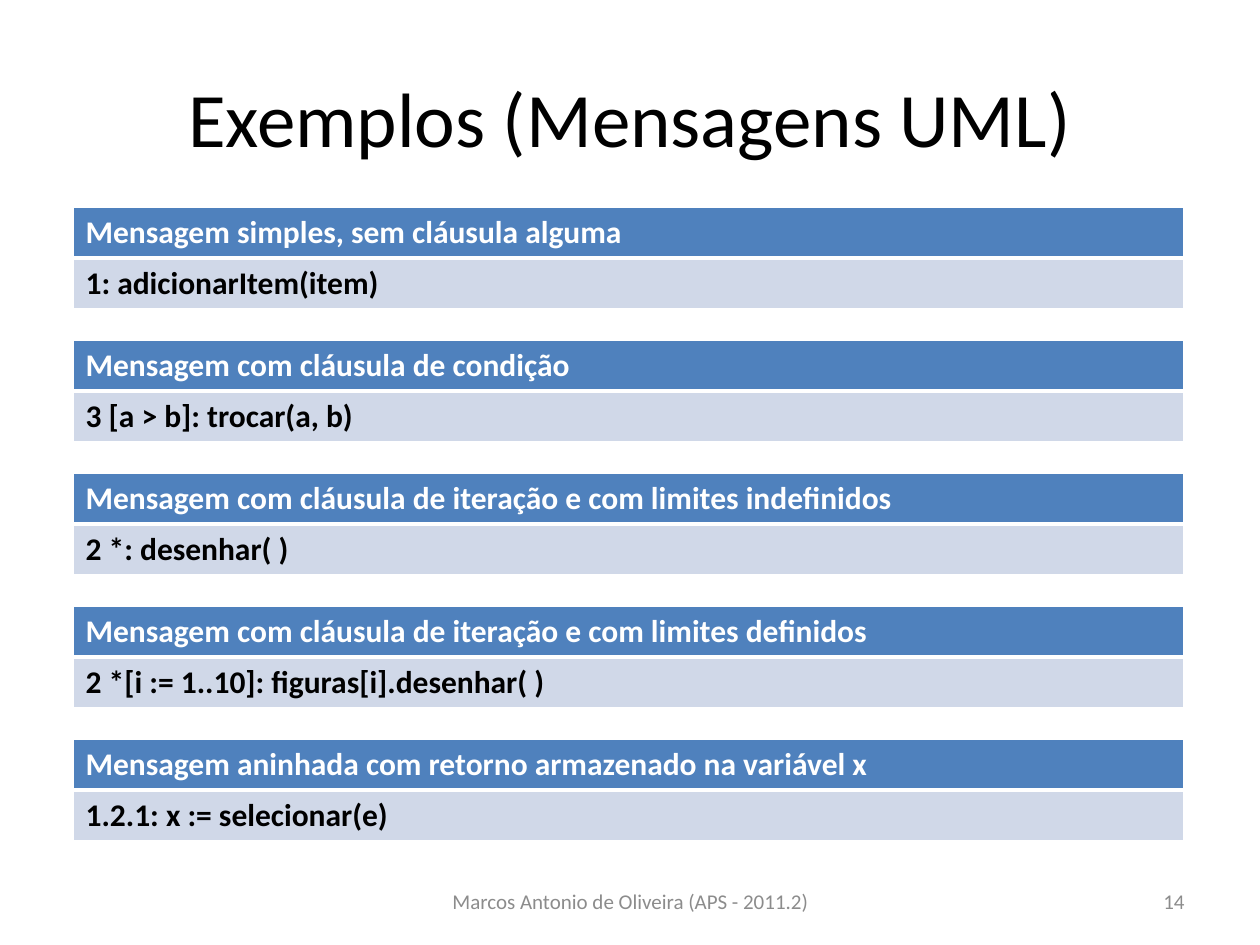
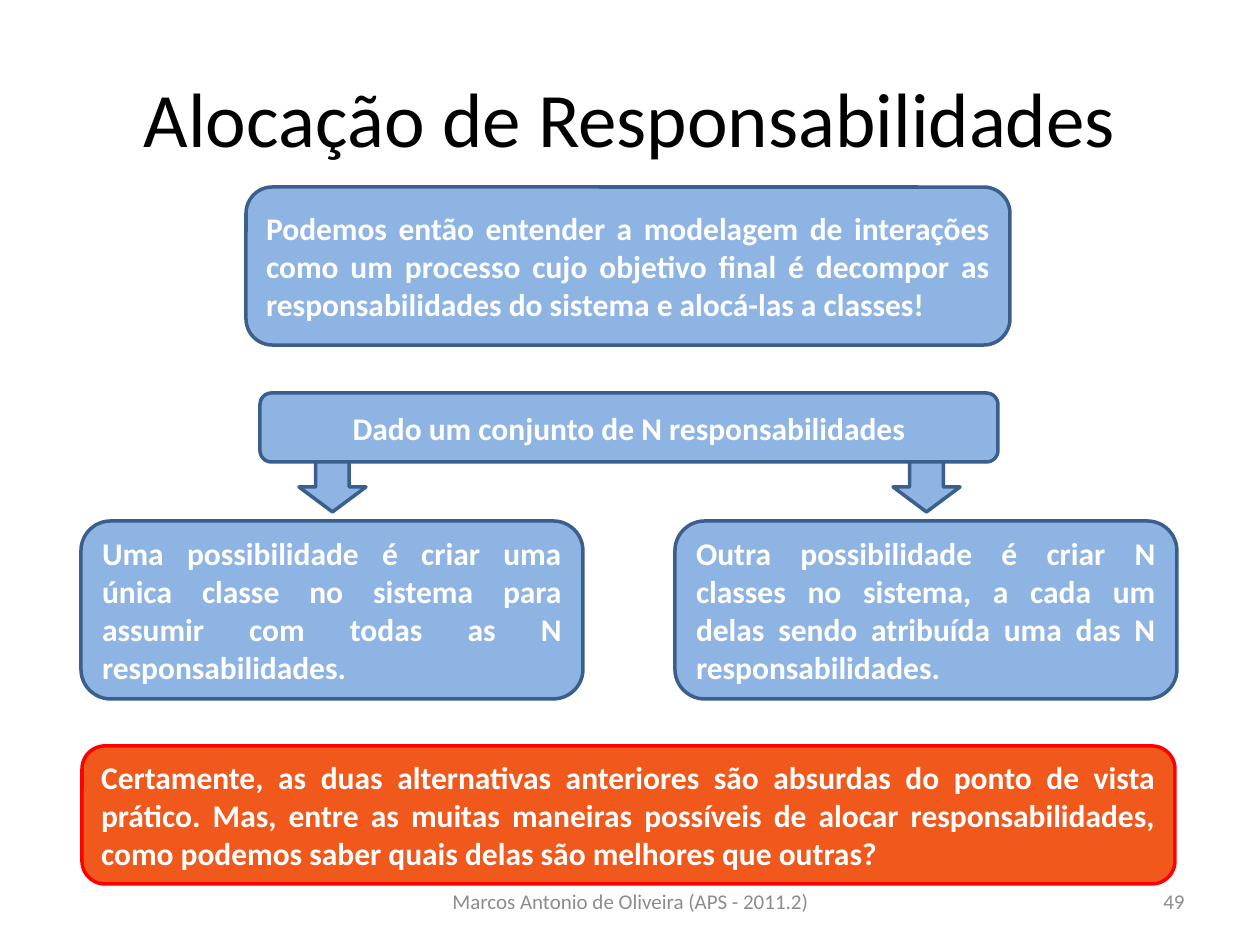
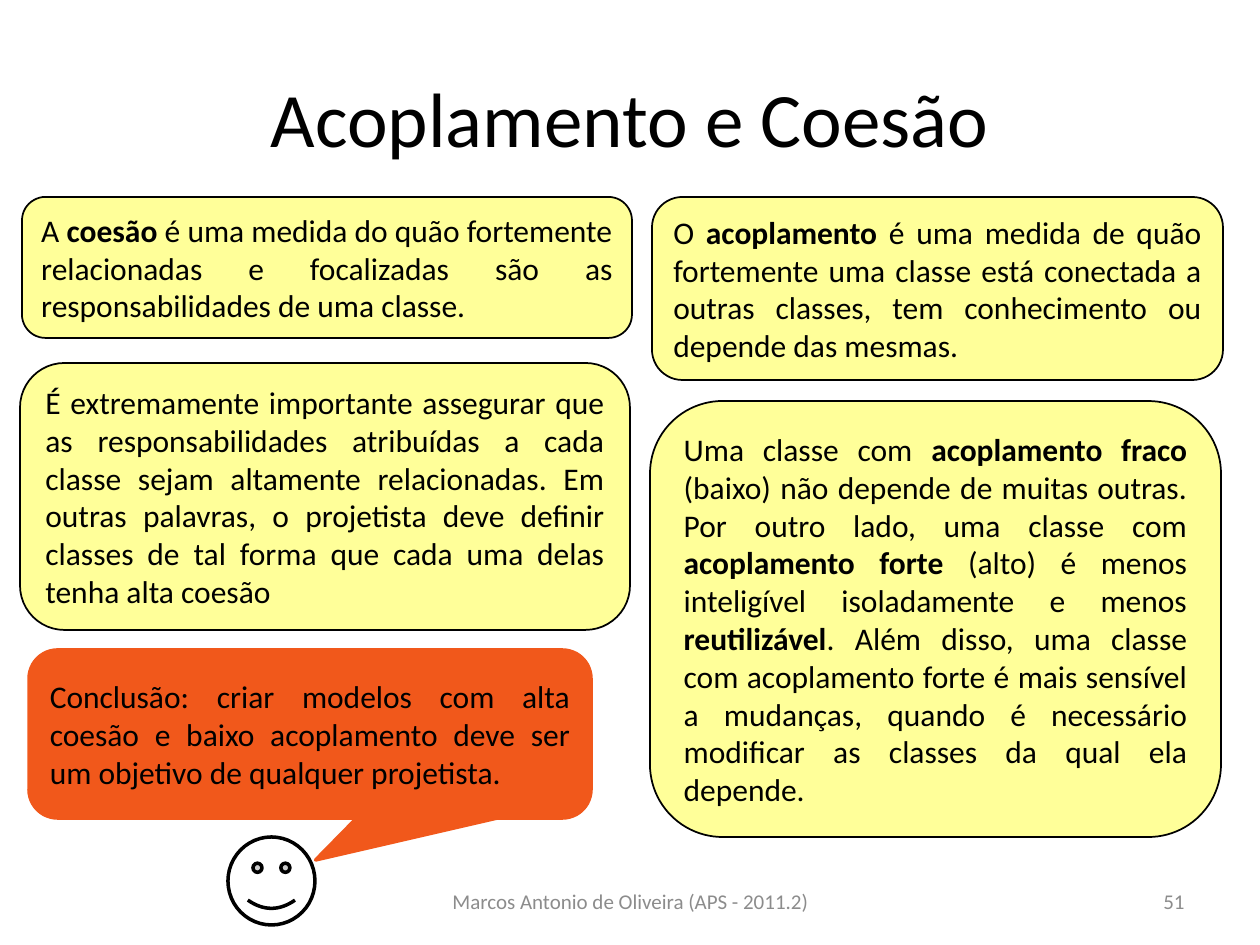
import dataclasses

import pptx
import pptx.dml.color
import pptx.enum.shapes
import pptx.enum.text
import pptx.oxml.ns
import pptx.util
from lxml import etree

SHAPE = pptx.enum.shapes.MSO_SHAPE
ALIGN = pptx.enum.text.PP_ALIGN
MIDDLE = pptx.enum.text.MSO_ANCHOR.MIDDLE
EMU_PER_PX = 914400 / 126
PAGE_SIZE = (1260, 945)


@dataclasses.dataclass(frozen=True)
class Theme:
    font: str = "Calibri"
    title_size: int = 44
    body_size: int = 18
    footer_size: int = 12
    black: str = "000000"
    white: str = "FFFFFF"
    gray: str = "8C8C8C"
    header: str = "4F81BD"
    row: str = "D0D8E8"
    blue: str = "8EB4E3"
    navy: str = "3A5F8C"
    orange: str = "F1581B"
    red: str = "FF0000"
    yellow: str = "FFFF99"


THEME = Theme()


@dataclasses.dataclass(frozen=True)
class Look:
    fill: str
    line: str
    width: int
    ink: str
    bold: bool = False


STEP = Look(THEME.blue, THEME.navy, 2, THEME.white, True)
WARNING = Look(THEME.orange, THEME.red, 2, THEME.white, True)
CONCEPT = Look(THEME.yellow, THEME.black, 1, THEME.black)
SPEECH = Look(THEME.orange, THEME.orange, 2, THEME.black)
FACE = Look(THEME.white, THEME.black, 2, THEME.black)

TITLE_AREA = (63, 38, 1134, 157)
FOOTER = "Marcos Antonio de Oliveira (APS - 2011.2)"
FOOTER_AREA = (431, 876, 399, 50)
NUMBER_AREA = (903, 876, 294, 50)

MESSAGES = [
    ("Mensagem simples, sem cláusula alguma", "1: adicionarItem(item)"),
    ("Mensagem com cláusula de condição", "3 [a > b]: trocar(a, b)"),
    ("Mensagem com cláusula de iteração e com limites indefinidos", "2 *: desenhar( )"),
    ("Mensagem com cláusula de iteração e com limites definidos",
     "2 *[i := 1..10]: figuras[i].desenhar( )"),
    ("Mensagem aninhada com retorno armazenado na variável x", "1.2.1: x := selecionar(e)"),
]
MESSAGE_LEFT, MESSAGE_TOP, MESSAGE_WIDTH = 73, 207, 1111
MESSAGE_ROW, MESSAGE_STEP = 51, 133

PREMISE = ("Podemos então entender a modelagem de interações como um processo cujo objetivo "
           "final é decompor as responsabilidades do sistema e alocá-las a classes!")
GIVEN = "Dado um conjunto de N responsabilidades"
OPTIONS = [
    "Uma possibilidade é criar uma única classe no sistema para assumir com todas as N "
    "responsabilidades.",
    "Outra possibilidade é criar N classes no sistema, a cada um delas sendo atribuída uma "
    "das N responsabilidades.",
]
OPTION_LEFT, OPTION_STEP, ARROW_INSET = 81, 594, 218
QUESTION = ("Certamente, as duas alternativas anteriores são absurdas do ponto de vista prático. "
            "Mas, entre as muitas maneiras possíveis de alocar responsabilidades, como podemos "
            "saber quais delas são melhores que outras?")

# A pair of asterisks switches bold on and off.
CONCEPTS = [
    ((22, 197, 610, 141),
     "A **coesão** é uma medida do quão fortemente relacionadas e focalizadas são as "
     "responsabilidades de uma classe."),
    ((652, 197, 571, 183),
     "O **acoplamento** é uma medida de quão fortemente uma classe está conectada a outras "
     "classes, tem conhecimento ou depende das mesmas."),
    ((650, 401, 571, 436),
     "Uma classe com **acoplamento fraco** (baixo) não depende de muitas outras. Por outro "
     "lado, uma classe com **acoplamento forte** (alto) é menos inteligível isoladamente e "
     "menos **reutilizável**. Além disso, uma classe com acoplamento forte é mais sensível a "
     "mudanças, quando é necessário modificar as classes da qual ela depende."),
    ((20, 363, 610, 267),
     "É extremamente importante assegurar que as responsabilidades atribuídas a cada classe "
     "sejam altamente relacionadas. Em outras palavras, o projetista deve definir classes de "
     "tal forma que cada uma delas tenha alta coesão"),
]
CONCLUSION = ("Conclusão: criar modelos com alta coesão e baixo acoplamento deve ser um "
              "objetivo de qualquer projetista.")
SPEECH_TAIL = (0.01, 0.75, 0.17)


def px(length):
    return pptx.util.Emu(round(length * EMU_PER_PX))


def box_px(area):
    return [px(length) for length in area]


def rgb(code):
    return pptx.dml.color.RGBColor.from_string(code)


def write(frame, text, size, color, align, bold=False):
    frame.word_wrap = True
    para = frame.paragraphs[0]
    para.alignment = align
    for index, part in enumerate(text.split("**")):
        span = para.add_run()
        span.text = part
        span.font.name = THEME.font
        span.font.size = pptx.util.Pt(size)
        span.font.bold = bold or index % 2 == 1
        span.font.color.rgb = rgb(color)


def add_label(page, area, text, align):
    box = page.shapes.add_textbox(*box_px(area))
    box.text_frame.vertical_anchor = MIDDLE
    write(box.text_frame, text, THEME.footer_size, THEME.gray, align)


def add_page(deck, title, number):
    page = deck.slides.add_slide(deck.slide_layouts[5])
    heading = page.shapes.title
    heading.left, heading.top, heading.width, heading.height = box_px(TITLE_AREA)
    heading.text_frame.vertical_anchor = MIDDLE
    write(heading.text_frame, title, THEME.title_size, THEME.black, ALIGN.CENTER)
    add_label(page, FOOTER_AREA, FOOTER, ALIGN.CENTER)
    add_label(page, NUMBER_AREA, str(number), ALIGN.RIGHT)
    return page


def add_box(page, area, look, text="", align=ALIGN.JUSTIFY, kind=SHAPE.ROUNDED_RECTANGLE):
    box = page.shapes.add_shape(kind, *box_px(area))
    box.shadow.inherit = False
    box.fill.solid()
    box.fill.fore_color.rgb = rgb(look.fill)
    box.line.color.rgb = rgb(look.line)
    box.line.width = pptx.util.Pt(look.width)
    if text:
        box.text_frame.vertical_anchor = MIDDLE
        write(box.text_frame, text, THEME.body_size, look.ink, align, look.bold)
    return box


def add_borders(cell, widths):
    """Draw white cell borders; widths maps each side letter to points."""
    qn = pptx.oxml.ns.qn
    properties = cell._tc.get_or_add_tcPr()
    for side, width in widths.items():
        line = etree.SubElement(properties, qn(f"a:ln{side}"), w=str(pptx.util.Pt(width)))
        fill = etree.SubElement(line, qn("a:solidFill"))
        etree.SubElement(fill, qn("a:srgbClr"), val=THEME.white)


def add_message(page, top, texts):
    area = (MESSAGE_LEFT, top, MESSAGE_WIDTH, len(texts) * MESSAGE_ROW)
    table = page.shapes.add_table(len(texts), 1, *box_px(area)).table
    looks = [(THEME.header, THEME.white, {"L": 1, "R": 1, "T": 1, "B": 3}),
             (THEME.row, THEME.black, {"L": 1, "R": 1, "T": 3, "B": 1})]
    for index, (text, (fill, ink, widths)) in enumerate(zip(texts, looks)):
        table.rows[index].height = px(MESSAGE_ROW)
        cell = table.cell(index, 0)
        add_borders(cell, widths)
        cell.fill.solid()
        cell.fill.fore_color.rgb = rgb(fill)
        write(cell.text_frame, text, THEME.body_size, ink, ALIGN.LEFT, True)


def build_messages(deck):
    page = add_page(deck, "Exemplos (Mensagens UML)", 14)
    for index, texts in enumerate(MESSAGES):
        add_message(page, MESSAGE_TOP + index * MESSAGE_STEP, texts)


def build_allocation(deck):
    page = add_page(deck, "Alocação de Responsabilidades", 49)
    add_box(page, (246, 187, 764, 158), STEP, PREMISE)
    add_box(page, (260, 393, 738, 69), STEP, GIVEN, ALIGN.CENTER)
    for index, option in enumerate(OPTIONS):
        left = OPTION_LEFT + index * OPTION_STEP
        add_box(page, (left + ARROW_INSET, 462, 67, 50), STEP, kind=SHAPE.DOWN_ARROW)
        add_box(page, (left, 521, 502, 178), STEP, option)
    add_box(page, (82, 746, 1093, 138), WARNING, QUESTION)


def build_coupling(deck):
    page = add_page(deck, "Acoplamento e Coesão", 51)
    for area, text in CONCEPTS:
        add_box(page, area, CONCEPT, text)
    speech = add_box(page, (29, 650, 562, 168), SPEECH, CONCLUSION,
                     kind=SHAPE.ROUNDED_RECTANGULAR_CALLOUT)
    for index, value in enumerate(SPEECH_TAIL):
        speech.adjustments[index] = value
    add_box(page, (228, 837, 87, 88), FACE, kind=SHAPE.SMILEY_FACE)


def main():
    deck = pptx.Presentation()
    deck.slide_width, deck.slide_height = box_px(PAGE_SIZE)
    build_messages(deck)
    build_allocation(deck)
    build_coupling(deck)
    deck.save("out.pptx")


if __name__ == "__main__":
    main()
